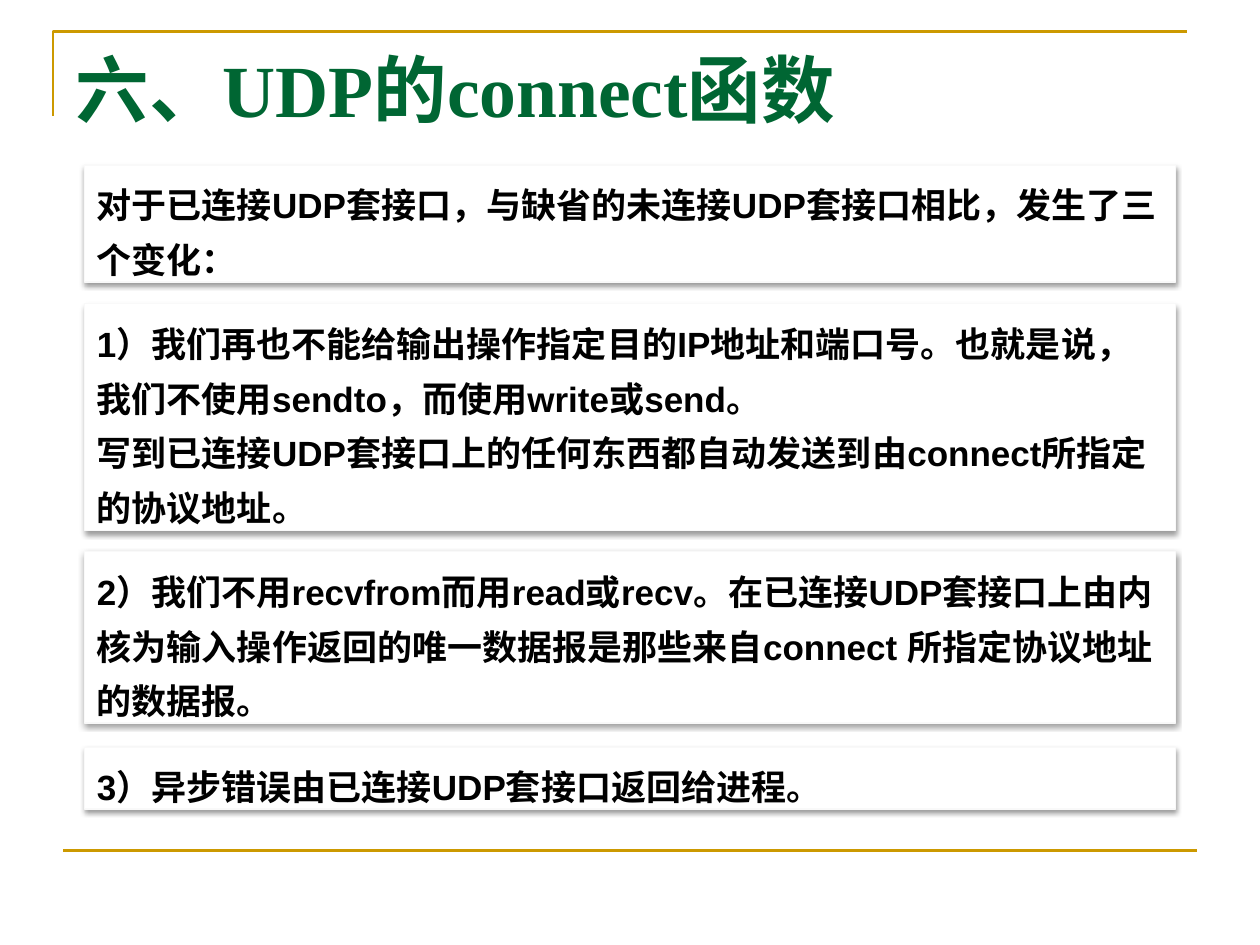
from dataclasses import dataclass

from lxml import etree
from pptx import Presentation
from pptx.dml.color import RGBColor
from pptx.enum.lang import MSO_LANGUAGE_ID
from pptx.enum.shapes import MSO_CONNECTOR, MSO_SHAPE
from pptx.enum.text import MSO_ANCHOR, MSO_AUTO_SIZE, PP_ALIGN
from pptx.oxml.ns import qn
from pptx.util import Inches, Pt

RECT = MSO_SHAPE.RECTANGLE
STRAIGHT = MSO_CONNECTOR.STRAIGHT
TOP = MSO_ANCHOR.TOP
LEFT = PP_ALIGN.LEFT
GROW = MSO_AUTO_SIZE.SHAPE_TO_FIT_TEXT
FIXED = MSO_AUTO_SIZE.NONE
CHINESE = MSO_LANGUAGE_ID.SIMPLIFIED_CHINESE


@dataclass(frozen=True)
class Theme:
    """Colours, fonts and type sizes of the slide."""
    gold: str = "CC9900"
    green: str = "006633"
    black: str = "000000"
    white: str = "FFFFFF"
    edge: str = "F9F9F9"
    serif: str = "Times New Roman"
    sans: str = "Arial"
    head: int = 42
    body: int = 20


THEME = Theme()
TITLE = "六、UDP的connect函数"
CARDS = [
    (1.31, 0.93, ["对于已连接UDP套接口，与缺省的未连接UDP套接口相比，发生了三个变化："]),
    (2.41, 1.8, [
        "1）我们再也不能给输出操作指定目的IP地址和端口号。也就是说，我们不使用sendto，而使用write或send。",
        "写到已连接UDP套接口上的任何东西都自动发送到由connect所指定的协议地址。",
    ]),
    (4.38, 1.36, [
        "2）我们不用recvfrom而用read或recv。在已连接UDP套接口上由内核为输入操作返回的唯一数据报"
        "是那些来自connect 所指定协议地址的数据报。",
    ]),
    (5.93, 0.49, ["3）异步错误由已连接UDP套接口返回给进程。"]),
]


def assign(target, values):
    """Set each named attribute on the target."""
    for name, value in values.items():
        setattr(target, name, value)


def write(frame, lines, font, color, layout, spacing):
    """Fill a text frame with formatted paragraphs."""
    assign(frame, layout)
    frame.text = "\n".join(lines)
    for para in frame.paragraphs:
        assign(para, {"alignment": LEFT, "line_spacing": spacing})
        for run in para.runs:
            assign(run.font, {**font, "bold": True, "language_id": CHINESE})
            run.font.color.rgb = RGBColor.from_string(color)


def stroke(shape, color, width):
    """Give a shape or connector a solid line."""
    shape.line.color.rgb = RGBColor.from_string(color)
    shape.line.width = Pt(width)


def add_frame(slide, left, top, width, height):
    """Draw the gold corner and the rule at the foot."""
    pen = slide.shapes.build_freeform(Inches(left), Inches(top + height))
    pen.add_line_segments(
        [(Inches(left), Inches(top)), (Inches(left + width), Inches(top))], close=False)
    corner = pen.convert_to_shape()
    corner.fill.background()
    corner.shadow.inherit = False
    stroke(corner, THEME.gold, 1.5)
    rule = slide.shapes.add_connector(
        STRAIGHT, Inches(0.5), Inches(6.75), Inches(0.5 + width), Inches(6.75))
    etree.SubElement(rule._element.spPr, qn("a:effectLst"))
    stroke(rule, THEME.gold, 1.5)


def add_title(slide, left, top, width, height):
    """Place the heading in the title placeholder."""
    title = slide.shapes.title
    assign(title, {"left": Inches(left), "top": Inches(top),
                   "width": Inches(width), "height": Inches(height)})
    write(title.text_frame, [TITLE], {"name": THEME.serif, "size": Pt(THEME.head)},
          THEME.green, {"word_wrap": True, "vertical_anchor": TOP, "auto_size": FIXED}, 1.0)


def add_shade(shape):
    """Put a soft shadow below a shape."""
    shape.shadow.inherit = False
    effects = shape._element.spPr.find(qn("a:effectLst"))
    shade = etree.SubElement(
        effects, qn("a:outerShdw"), blurRad=str(Pt(3.1)), dist=str(Pt(1.6)),
        dir="5400000", rotWithShape="0")
    color = etree.SubElement(shade, qn("a:srgbClr"), val=THEME.black)
    etree.SubElement(color, qn("a:alpha"), val="38000")


def add_card(slide, left, top, width, height, lines):
    """Place one white card with its text."""
    card = slide.shapes.add_shape(
        RECT, Inches(left), Inches(top), Inches(width), Inches(height))
    card.fill.solid()
    card.fill.fore_color.rgb = RGBColor.from_string(THEME.white)
    stroke(card, THEME.edge, 0.75)
    add_shade(card)
    write(card.text_frame, lines, {"name": THEME.sans, "size": Pt(THEME.body)},
          THEME.black, {"word_wrap": True, "vertical_anchor": TOP, "auto_size": GROW}, 1.3)


def main():
    """Build and save the slide."""
    deck = Presentation()
    assign(deck, {"slide_width": Inches(10), "slide_height": Inches(7.5)})
    slide = deck.slides.add_slide(deck.slide_layouts[5])
    add_frame(slide, 0.42, 0.25, 9, 0.67)
    add_title(slide, 0.5, 0.3, 8.28, 1.25)
    for top, height, lines in CARDS:
        add_card(slide, 0.67, top, 8.66, height, lines)
    deck.save("out.pptx")


if __name__ == "__main__":
    main()
